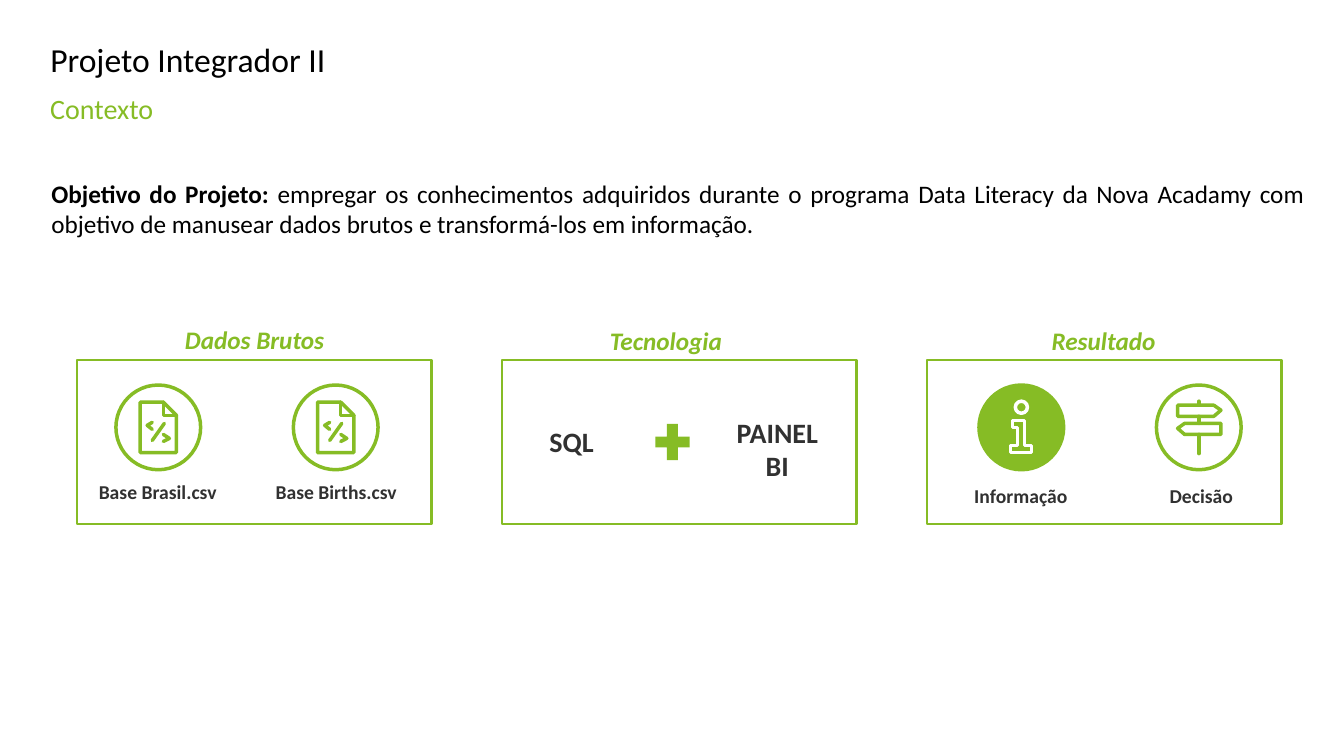
"""Build the project context slide with raw data, technology and result panels."""
from pptx import Presentation
from pptx.dml.color import RGBColor
from pptx.enum.shapes import MSO_CONNECTOR as Link, MSO_SHAPE as Kind
from pptx.enum.text import PP_ALIGN as Align
from pptx.oxml.ns import qn
from pptx.util import Inches, Pt
from lxml import etree

GREEN, DARK, BLACK, WHITE = "86BC25", "313131", "000000", "FFFFFF"
hue = RGBColor.from_string

deck = Presentation()
deck.slide_width, deck.slide_height = Inches(13.33), Inches(7.5)
slide = deck.slides.add_slide(deck.slide_layouts[6])
shapes = slide.shapes


def write(box, runs, align=Align.CENTER, inset=0, before=0, after=0, **style):
    item = shapes.add_textbox(*map(Inches, box))
    frame = item.text_frame
    frame.word_wrap = True
    if not inset:
        for side in ("left", "top", "right", "bottom"):
            setattr(frame, "margin_" + side, 0)
    para = frame.paragraphs[0]
    para.alignment = align
    para.space_before, para.space_after = Pt(before), Pt(after)
    for text, size, color, bold in runs:
        run = para.add_run()
        run.text = text
        form = {"name": "Calibri", "size": Pt(size), "bold": bold, **style}
        for key, value in form.items():
            setattr(run.font, key, value)
        run.font.color.rgb = hue(color)


def trace(mid, points, color=GREEN, close=False):
    x, y = mid
    if len(points) == 2:
        ends = [Inches(c + d / 100) for p in points for c, d in zip(mid, p)]
        item = shapes.add_connector(Link.STRAIGHT, *ends)
        etree.SubElement(item._element.spPr, qn("a:effectLst"))
    else:
        path = shapes.build_freeform(*points[0], scale=Inches(0.01))
        path.add_line_segments(points[1:], close=close)
        item = path.convert_to_shape(Inches(x), Inches(y))
        item.fill.background()
        item.shadow.inherit = False
    item.line.color.rgb = hue(color)
    item.line.width = Pt(2.5)
    edge = item._element.spPr.find(qn("a:ln"))
    edge.set("cap", "rnd")
    etree.SubElement(edge, qn("a:round"))


write((0.4, 0.34, 10.41, 0.51), [("Projeto Integrador II", 24, BLACK, False)],
      Align.LEFT, 1)
write((0.4, 0.86, 9.13, 0.44), [("Contexto", 20, GREEN, False)],
      Align.LEFT, 1, after=10)
write((0.51, 1.77, 12.43, 2.22), [
    ("Objetivo do Projeto: ", 18, BLACK, True),
    ("empregar os conhecimentos adquiridos durante o programa Data Literacy "
     "da Nova Acadamy com objetivo de manusear dados brutos e "
     "transformá-los em informação.", 18, BLACK, False)], Align.JUSTIFY)

heads = [("Dados Brutos", 1.43, 3.22), ("Tecnologia", 5.51, 3.23),
         ("Resultado", 9.85, 3.23)]
for col, (text, left, top) in enumerate(heads):
    panel = shapes.add_shape(Kind.RECTANGLE, Inches(0.76 + 4.215 * col),
                             Inches(3.57), Inches(3.52), Inches(1.63))
    panel.shadow.inherit = False
    panel.fill.background()
    panel.line.color.rgb = hue(GREEN)
    panel.line.width = Pt(1.5)
    write((left, top, 2.19, 0.3), [(text, 18, GREEN, True)],
          before=6, italic=True)

labels = [("Base Brasil.csv", 14, (0.16, 4.76, 2.81, 0.24)),
          ("Base Births.csv", 14, (1.93, 4.76, 2.81, 0.24)),
          ("SQL", 20, (5.19, 4.21, 0.96, 0.34)),
          ("PAINEL BI", 20, (7.23, 4.12, 0.96, 0.67)),
          ("Informação", 14, (9.03, 4.8, 2.19, 0.24)),
          ("Decisão", 14, (10.82, 4.8, 2.19, 0.24))]
for text, size, box in labels:
    write(box, [(text, size, DARK, True)], before=6)

plus = shapes.add_shape(Kind.MATH_PLUS, Inches(6.44), Inches(4.14),
                        Inches(0.46), Inches(0.49))
plus.shadow.inherit = False
plus.fill.solid()
plus.fill.fore_color.rgb = hue(GREEN)
plus.line.fill.background()

files = [(1.57, 4.24), (3.33, 4.24)]
info, sign = (10.13, 4.24), (11.89, 4.24)
rings = [(mid, 0.42, None, GREEN) for mid in files + [sign]]
rings += [(info, 0.42, GREEN, GREEN), ((10.13, 4.04), 0.06, None, WHITE)]
for (x, y), half, fill, color in rings:
    ring = shapes.add_shape(Kind.OVAL, Inches(x - half), Inches(y - half),
                            Inches(2 * half), Inches(2 * half))
    ring.shadow.inherit = False
    if fill:
        ring.fill.solid()
        ring.fill.fore_color.rgb = hue(fill)
    else:
        ring.fill.background()
    ring.line.color.rgb = hue(color)
    ring.line.width = Pt(2.5)

sheet = [(-18, -25), (5, -25), (18, -12), (18, 25), (-18, 25)]
marks = [[(5, -25), (5, -12), (18, -12)], [(-6, 13), (6, -4)],
         [(-6, -5), (-11, -2), (-6, 2)], [(5, 7), (11, 11), (5, 14)]]
for mid in files:
    trace(mid, sheet, close=True)
    for mark in marks:
        trace(mid, mark)

stem = [(-9, -7), (3, -7), (3, 18), (10, 18), (10, 25),
        (-11, 25), (-11, 18), (-4, 18), (-4, 0), (-9, 0)]
trace(info, stem, WHITE, True)

boards = [[(-21, -22), (15, -22), (22, -17), (15, -11), (-21, -11)],
          [(22, -4), (-14, -4), (-21, 1), (-14, 7), (22, 7)]]
for board in boards:
    trace(sign, board, close=True)
for top, end in [(-26, -22), (-11, -4), (7, 26)]:
    trace(sign, [(0, top), (0, end)])

deck.save("out.pptx")
